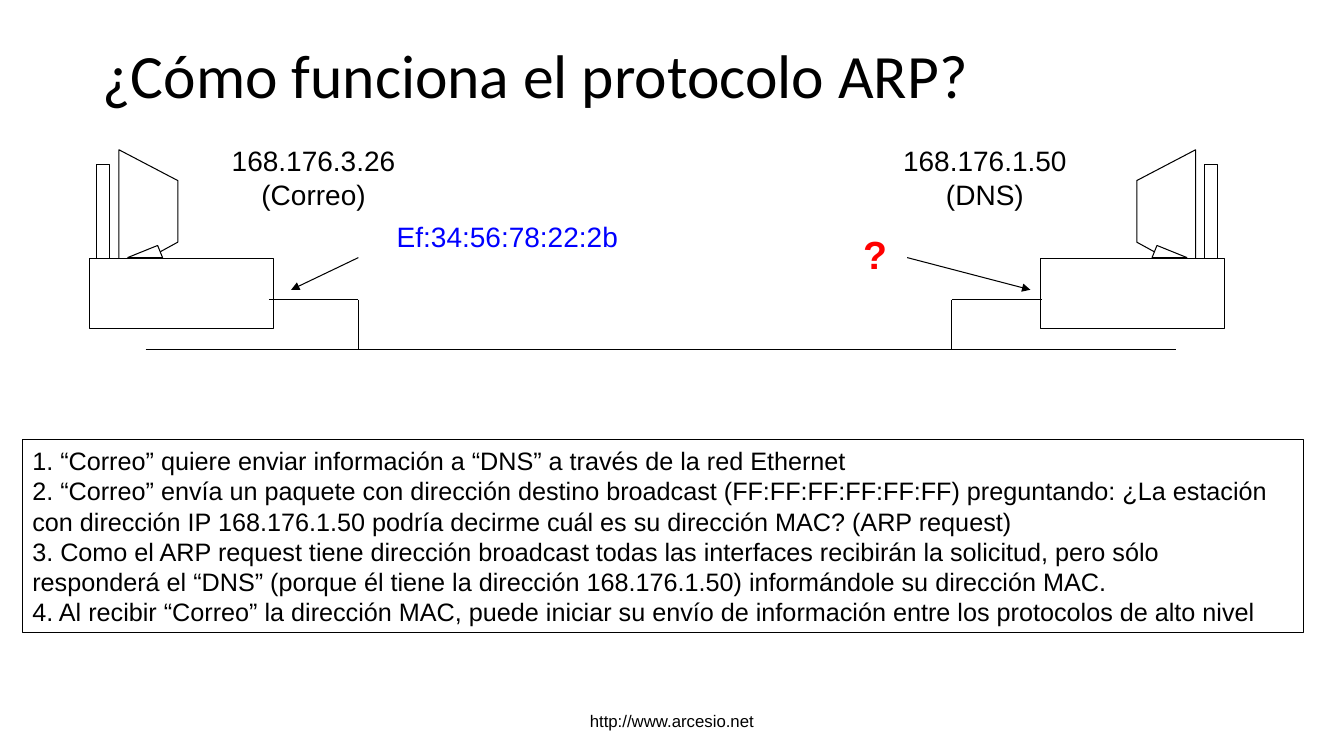
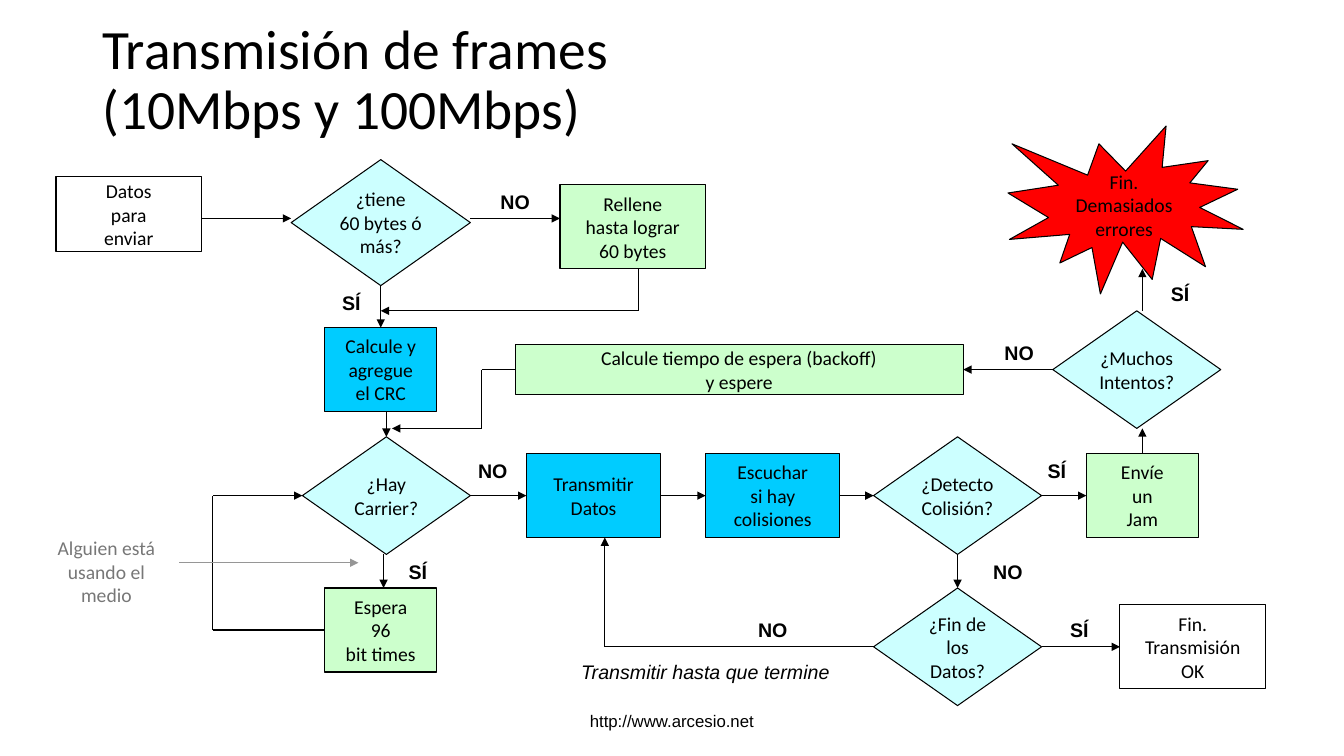
import pptx
import pptx.util
import pptx.dml.color
import pptx.enum.shapes
import pptx.enum.text
import pptx.oxml.ns
import lxml.etree

Pt = pptx.util.Pt
SHAPES = pptx.enum.shapes.MSO_SHAPE
ALIGN = pptx.enum.text.PP_ALIGN
ANCHOR = pptx.enum.text.MSO_ANCHOR

COLORS = {
    "black": "000000", "white": "FFFFFF", "blue": "0000FF", "red": "FF0000",
    "decision": "CCFFFF", "process": "00CCFF", "action": "CCFFCC",
    "note": "777777", "note_line": "969696",
}
RGB = {name: pptx.dml.color.RGBColor.from_string(value) for name, value in COLORS.items()}


def add_box(slide, kind, bounds, lines, size=14, font="Calibri", color="black", fill=None,
            align=ALIGN.CENTER, anchor=ANCHOR.MIDDLE, wrap=False, spacing=None,
            bold=False, italic=False):
    """Add a text box (kind None) or an outlined preset shape with its lines of text."""
    bounds = [Pt(value) for value in bounds]
    if kind is None:
        shape = slide.shapes.add_textbox(*bounds)
    else:
        shape = slide.shapes.add_shape(kind, *bounds)
        shape.shadow.inherit = False
        shape.line.color.rgb = RGB["black"]
        shape.line.width = Pt(0.75)
        if fill:
            shape.fill.solid()
            shape.fill.fore_color.rgb = RGB[fill]
        else:
            shape.fill.background()
    frame = shape.text_frame
    frame.word_wrap = wrap
    frame.vertical_anchor = anchor
    for index, line in enumerate(lines):
        paragraph = frame.add_paragraph() if index else frame.paragraphs[0]
        paragraph.alignment = align
        paragraph.line_spacing = spacing
        run = paragraph.add_run()
        run.text = line
        run.font.name = font
        run.font.size = Pt(size)
        run.font.bold = bold
        run.font.italic = italic
        run.font.color.rgb = RGB[color]
    return shape


def add_route(slide, points, arrow=True, color="black"):
    """Join the points with straight connectors; the last one may end in an arrowhead."""
    for start, end in zip(points, points[1:]):
        connector = slide.shapes.add_connector(
            pptx.enum.shapes.MSO_CONNECTOR.STRAIGHT,
            Pt(start[0]), Pt(start[1]), Pt(end[0]), Pt(end[1]))
        connector.line.color.rgb = RGB[color]
        connector.line.width = Pt(0.75)
        if arrow and end == points[-1]:
            line = connector.line._get_or_add_ln()
            lxml.etree.SubElement(line, pptx.oxml.ns.qn("a:tailEnd"), type="triangle")
        lxml.etree.SubElement(connector._element.spPr, pptx.oxml.ns.qn("a:effectLst"))


presentation = pptx.Presentation()
presentation.slide_width = Pt(960)
presentation.slide_height = Pt(540)

# Shared footer and title style
slides = []
for title_lines, title_top, title_size in [
    (["¿Cómo funciona el protocolo ARP?"], 29, 44),
    (["Transmisión de frames", "(10Mbps y 100Mbps)"], 12, 39.6),
]:
    slide = presentation.slides.add_slide(presentation.slide_layouts[6])
    add_box(slide, None, (318, 500, 324, 29), ["http://www.arcesio.net"], 12, "Arial", wrap=True)
    add_box(slide, None, (66, title_top, 828, 100), title_lines, title_size,
            align=ALIGN.LEFT, anchor=ANCHOR.TOP, wrap=True, spacing=0.9)
    slides.append(slide)
arp_slide, frames_slide = slides

# ARP: steps
add_box(arp_slide, SHAPES.RECTANGLE, (16, 314, 915, 138), [
    "1. “Correo” quiere enviar información a “DNS” a través de la red Ethernet",
    "2. “Correo” envía un paquete con dirección destino broadcast (FF:FF:FF:FF:FF:FF) "
    "preguntando: ¿La estación con dirección IP 168.176.1.50 podría decirme cuál es su "
    "dirección MAC? (ARP request)",
    "3. Como el ARP request tiene dirección broadcast todas las interfaces recibirán la "
    "solicitud, pero sólo responderá el “DNS” (porque él tiene la dirección 168.176.1.50) "
    "informándole su dirección MAC.",
    "4. Al recibir “Correo” la dirección MAC, puede iniciar su envío de información entre "
    "los protocolos de alto nivel",
], 18, "Arial", align=ALIGN.LEFT, wrap=True)

# ARP: two computers, the right one mirrored
MIRROR = 939
for mirrored in (False, True):
    screen = [(85, 107), (127, 129), (127, 173), (85, 196)]
    if mirrored:
        screen = [(MIRROR - x, y) for x, y in screen]
    outline = [(Pt(x), Pt(y)) for x, y in screen]
    builder = arp_slide.shapes.build_freeform(*outline[0], scale=1.0)
    builder.add_line_segments(outline[1:], close=True)
    monitor = builder.convert_to_shape()
    monitor.shadow.inherit = False
    monitor.fill.solid()
    monitor.fill.fore_color.rgb = RGB["white"]
    monitor.line.color.rgb = RGB["black"]
    monitor.line.width = Pt(0.75)
    for kind, left, top, width, height, rotation in [
        (SHAPES.RECTANGLE, 69, 117.5, 9.4, 67.5, 0),
        (SHAPES.RECTANGLE, 64, 185, 131.5, 50, 0),
        (SHAPES.RIGHT_TRIANGLE, 92.2, 179.3, 23, 9.4, 158),
    ]:
        if mirrored:
            left = MIRROR - left - width
        part = add_box(arp_slide, kind, (left, top, width, height), [], fill="white")
        part.rotation = -rotation if mirrored else rotation
        if mirrored:
            part._element.spPr.get_or_add_xfrm().set("flipH", "1")

# ARP: network cable and pointers
add_route(arp_slide, [(104, 250), (840, 250)], arrow=False)
add_route(arp_slide, [(192, 214), (256, 214), (256, 250)], arrow=False)
add_route(arp_slide, [(744, 214), (680, 214), (680, 250)], arrow=False)
add_route(arp_slide, [(256, 184), (208, 207)])
add_route(arp_slide, [(648, 184), (736, 207)])

# ARP: addresses, placed by their centre
for center, top, width, height, lines, size, color, bold in [
    (224, 99, 132, 55, ["168.176.3.26", "(Correo)"], 20, "black", False),
    (703.5, 99, 132, 55, ["168.176.1.50", "(DNS)"], 20, "black", False),
    (362.5, 153, 174, 32, ["Ef:34:56:78:22:2b"], 20, "blue", False),
    (625, 160.5, 32, 41, ["?"], 28, "red", True),
]:
    add_box(arp_slide, None, (center - width / 2, top, width, height), lines, size, "Arial",
            color, bold=bold)

# Frames: flowchart nodes
for kind, bounds, fill, lines in [
    (SHAPES.RECTANGLE, (40, 126, 104, 54), "white", ["Datos", "para", "enviar"]),
    (SHAPES.DIAMOND, (208, 114, 128, 90), "decision", ["¿tiene", "60 bytes ó", "más?"]),
    (SHAPES.RECTANGLE, (400, 132, 104, 60), "action", ["Rellene", "hasta lograr", "60 bytes"]),
    (SHAPES.RECTANGLE, (232, 234, 80, 60), "process", ["Calcule y", "agregue", "el CRC"]),
    (SHAPES.DIAMOND, (216, 312, 120, 84), "decision", ["¿Hay", "Carrier?"]),
    (SHAPES.RECTANGLE, (232, 420, 80, 60), "action", ["Espera", "96", "bit times"]),
    (SHAPES.RECTANGLE, (376, 324, 96, 60), "process", ["Transmitir", "Datos"]),
    (SHAPES.RECTANGLE, (504, 324, 96, 60), "process", ["Escuchar", "si hay", "colisiones"]),
    (SHAPES.DIAMOND, (624, 312, 120, 84), "decision", ["¿Detecto", "Colisión?"]),
    (SHAPES.DIAMOND, (624, 420, 120, 84), "decision", ["¿Fin de", "los", "Datos?"]),
    (SHAPES.RECTANGLE, (800, 432, 104, 60), "white", ["Fin.", "Transmisión", "OK"]),
    (SHAPES.RECTANGLE, (776, 324, 80, 60), "action", ["Envíe", "un", "Jam"]),
    (SHAPES.DIAMOND, (752, 222, 120, 84), "decision", ["¿Muchos", "Intentos?"]),
    (SHAPES.EXPLOSION1, (720, 90, 168, 120), "red", ["Fin.", "Demasiados", "errores"]),
    (SHAPES.RECTANGLE, (368, 246, 320, 36), "action",
     ["Calcule tiempo de espera (backoff)", "y espere"]),
]:
    add_box(frames_slide, kind, bounds, lines, fill=fill)

# Frames: arrows between nodes
for points in [
    [(144, 156), (208, 156)],
    [(336, 156), (400, 156)],
    [(272, 204), (272, 234)],
    [(456, 192), (456, 222), (272, 222)],
    [(276, 294), (276, 312)],
    [(274, 396), (274, 420)],
    [(232, 450), (152, 450), (152, 354), (216, 354)],
    [(336, 354), (376, 354)],
    [(472, 354), (504, 354)],
    [(600, 354), (624, 354)],
    [(744, 354), (776, 354)],
    [(684, 396), (684, 420)],
    [(624, 462), (432, 462), (432, 384)],
    [(744, 462), (800, 462)],
    [(816, 324), (816, 306)],
    [(816, 222), (816, 192)],
    [(752, 264), (688, 264)],
    [(368, 264), (344, 264), (344, 306), (280, 306)],
]:
    add_route(frames_slide, points)

# Frames: answers on the arrows, placed by their centre
answers = {
    "NO": [(368, 132), (352, 324), (720, 396), (552, 438), (728, 240)],
    "SÍ": [(251, 204), (298.5, 396), (771, 438), (755, 324), (843, 198)],
}
for answer, places in answers.items():
    for center, top in places:
        add_box(frames_slide, None, (center - 18, top, 36, 24), [answer], font="Arial", bold=True)

# Frames: side remarks
add_box(frames_slide, None, (408, 468, 192, 24), ["Transmitir hasta que termine"],
        font="Arial", italic=True)
add_box(frames_slide, None, (24, 378, 104, 60), ["Alguien está", "usando el", "medio"],
        color="note")
add_route(frames_slide, [(128, 402), (256, 402)], color="note_line")

presentation.save("out.pptx")
